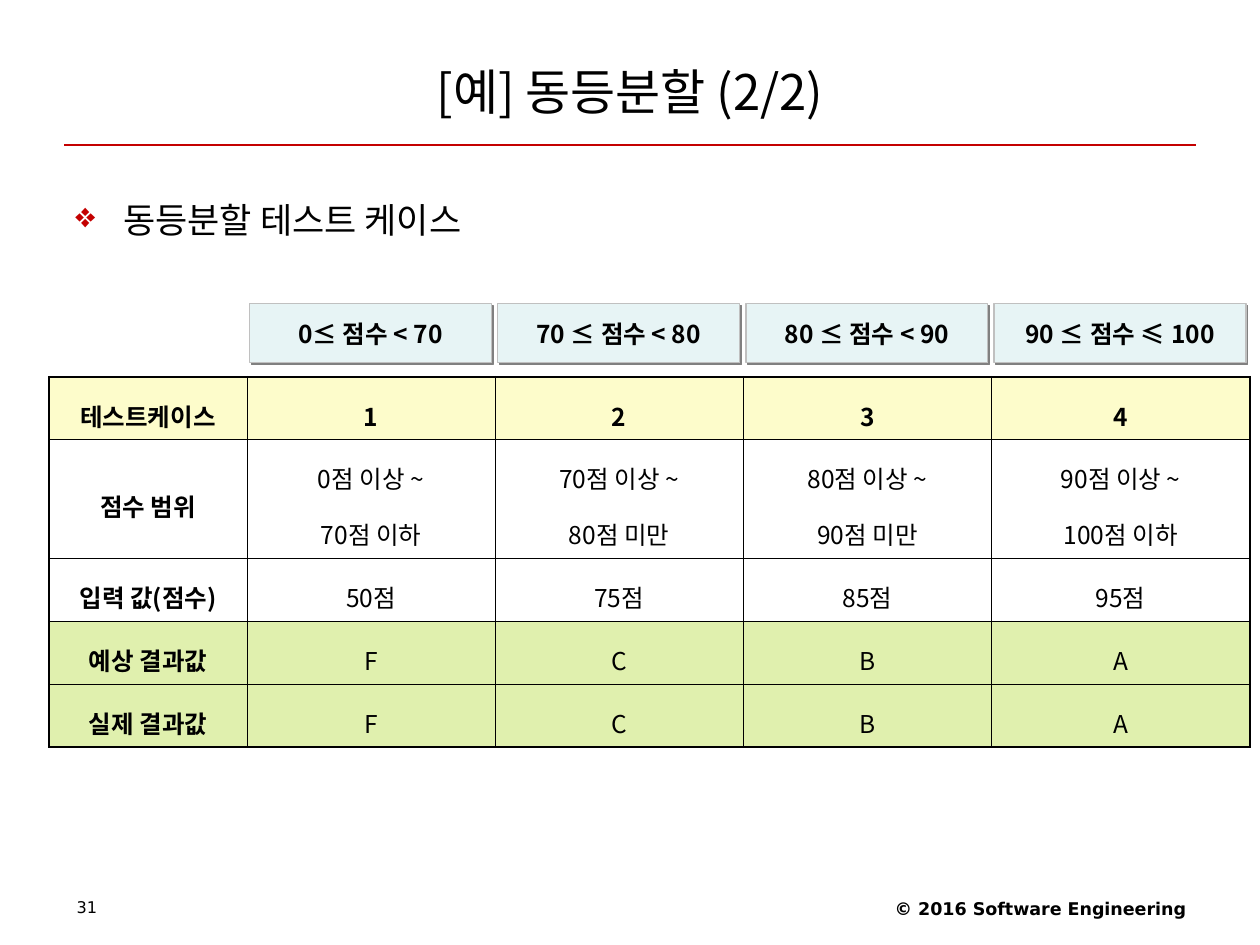
import lxml.etree
import pptx
import pptx.dml.color
import pptx.enum.shapes
import pptx.enum.text
import pptx.oxml.ns
import pptx.util

# Content
TITLE = "[예] 동등분할 (2/2)"
BULLET = "동등분할 테스트 케이스"
PAGE_NUMBER = "31"
COPYRIGHT = "© 2016 Software Engineering"
RANGES = ["0≤ 점수 < 70", "70 ≤ 점수 < 80", "80 ≤ 점수 < 90", "90 ≤ 점수 ≤ 100"]
ROWS = [
    ("테스트케이스", "1", "2", "3", "4"),
    ("점수 범위", "0점 이상 ~\n70점 이하", "70점 이상 ~\n80점 미만",
     "80점 이상 ~\n90점 미만", "90점 이상 ~\n100점 이하"),
    ("입력 값(점수)", "50점", "75점", "85점", "95점"),
    ("예상 결과값", "F", "C", "B", "A"),
    ("실제 결과값", "F", "C", "B", "A"),
]
ROW_FILLS = ["FDFCCB", "FFFFFF", "FFFFFF", "E0F0AE", "E0F0AE"]

# Grid, in inches
COLUMN_WIDTHS = [1.57, 1.97, 1.97, 1.97, 2.05]
ROW_HEIGHTS = [0.5, 0.94, 0.5, 0.5, 0.5]
TABLE_LEFT, TABLE_TOP = 0.39, 2.99
RANGE_TOP, RANGE_HEIGHT = 2.41, 0.47
RANGE_OFFSET, RANGE_GAP = 0.02, 0.05

KOREAN_FONT, LATIN_FONT = "Noto Sans CJK KR", "DejaVu Sans"
BLACK, RED = "000000", "C40000"
ALIGN = pptx.enum.text.PP_ALIGN
MIDDLE = pptx.enum.text.MSO_ANCHOR.MIDDLE
inches = pptx.util.Inches
qn = pptx.oxml.ns.qn


def color(value):
    return pptx.dml.color.RGBColor.from_string(value)


def add_element(parent, tag, **attributes):
    return lxml.etree.SubElement(parent, qn(tag), attributes)


def set_bullet(paragraph, character):
    properties = paragraph._p.get_or_add_pPr()
    indent = inches(0.38)
    properties.set("marL", str(indent))
    properties.set("indent", str(-indent))
    add_element(add_element(properties, "a:buClr"), "a:srgbClr", val=RED)
    add_element(properties, "a:buChar", char=character)


def write(frame, text, size, font=KOREAN_FONT, bold=False, align=ALIGN.CENTER,
          line_spacing=None, space_before=0, bullet=None):
    frame.text = text
    for index, paragraph in enumerate(frame.paragraphs):
        if bullet:
            set_bullet(paragraph, bullet)
        paragraph.alignment = align
        if line_spacing:
            paragraph.line_spacing = line_spacing
        paragraph.space_before = pptx.util.Pt(space_before if index else 0)
        paragraph.font.size = pptx.util.Pt(size)
        paragraph.font.name = font
        paragraph.font.bold = bold
        paragraph.font.color.rgb = color(BLACK)
        default_run = paragraph._p.pPr.find(qn("a:defRPr"))
        latin = default_run.find(qn("a:latin"))
        latin.addnext(default_run.makeelement(qn("a:ea"), {"typeface": font}))


def add_text(slide, box, text, size, **style):
    frame = slide.shapes.add_textbox(*map(inches, box)).text_frame
    frame.word_wrap = True
    write(frame, text, size, **style)


def add_title(slide):
    title = slide.shapes.title
    title.left, title.top, title.width, title.height = map(inches, (0.5, 0.3, 9, 0.85))
    frame = title.text_frame
    frame.auto_size = pptx.enum.text.MSO_AUTO_SIZE.NONE
    frame.vertical_anchor = MIDDLE
    write(frame, TITLE, 28)

    rule = slide.shapes.add_connector(
        pptx.enum.shapes.MSO_CONNECTOR.STRAIGHT, *map(inches, (0.51, 1.15, 9.49, 1.15)))
    rule.line.color.rgb = color(RED)
    rule.line.width = pptx.util.Pt(0.75)
    add_element(rule._element.spPr, "a:effectLst")


def set_borders(cell, row, column):
    outer = {"L": column == 0, "R": column == len(COLUMN_WIDTHS) - 1,
             "T": row == 0, "B": row == len(ROWS) - 1}
    properties = cell._tc.get_or_add_tcPr()
    for index, (side, is_outer) in enumerate(outer.items()):
        width = pptx.util.Pt(1.08 if is_outer else 0.45)
        border = properties.makeelement(qn("a:ln" + side), {"w": str(width)})
        add_element(add_element(border, "a:solidFill"), "a:srgbClr", val=BLACK)
        properties.insert(index, border)


def add_test_table(slide):
    table = slide.shapes.add_table(
        len(ROWS), len(COLUMN_WIDTHS), inches(TABLE_LEFT), inches(TABLE_TOP),
        inches(sum(COLUMN_WIDTHS)), inches(sum(ROW_HEIGHTS))).table
    table.first_row = table.horz_banding = False
    for column, width in zip(table.columns, COLUMN_WIDTHS):
        column.width = inches(width)
    for row, values in enumerate(ROWS):
        table.rows[row].height = inches(ROW_HEIGHTS[row])
        for column, value in enumerate(values):
            cell = table.cell(row, column)
            cell.vertical_anchor = MIDDLE
            cell.fill.solid()
            cell.fill.fore_color.rgb = color(ROW_FILLS[row])
            write(cell.text_frame, value, 14, bold=row == 0 or column == 0,
                  line_spacing=1.4, space_before=3.5)
            set_borders(cell, row, column)


def add_range_boxes(slide):
    for index, text in enumerate(RANGES, start=1):
        left = TABLE_LEFT + sum(COLUMN_WIDTHS[:index]) + RANGE_OFFSET
        width = COLUMN_WIDTHS[index] - RANGE_GAP
        shape = slide.shapes.add_shape(
            pptx.enum.shapes.MSO_SHAPE.RECTANGLE,
            *map(inches, (left, RANGE_TOP, width, RANGE_HEIGHT)))
        shape.fill.solid()
        shape.fill.fore_color.rgb = color("E7F4F5")
        shape.line.color.rgb = color("C0C0C0")
        shape.line.width = pptx.util.Pt(0.75)
        shape.shadow.inherit = False
        effects = shape._element.spPr.find(qn("a:effectLst"))
        shadow = add_element(effects, "a:outerShdw", blurRad="0",
                             dist=str(pptx.util.Pt(1.4)), dir=str(45 * 60000))
        add_element(shadow, "a:srgbClr", val="808080")
        shape.text_frame.word_wrap = False
        shape.text_frame.vertical_anchor = MIDDLE
        write(shape.text_frame, text, 14, bold=True)


def main():
    presentation = pptx.Presentation()
    presentation.slide_width, presentation.slide_height = inches(10), inches(7.5)
    slide = presentation.slides.add_slide(presentation.slide_layouts[5])
    add_title(slide)
    add_text(slide, (0.5, 1.39, 9, 5.51), BULLET, 20,
             align=ALIGN.LEFT, line_spacing=1.4, bullet="❖")
    add_test_table(slide)
    add_range_boxes(slide)
    # Footer
    add_text(slide, (6.34, 7.08, 3.17, 0.29), COPYRIGHT, 10,
             font=LATIN_FONT, bold=True, align=ALIGN.RIGHT)
    add_text(slide, (0.51, 7.09, 2.33, 0.28), PAGE_NUMBER, 9.2,
             font=LATIN_FONT, align=ALIGN.LEFT, line_spacing=0.9)
    presentation.save("out.pptx")


if __name__ == "__main__":
    main()
